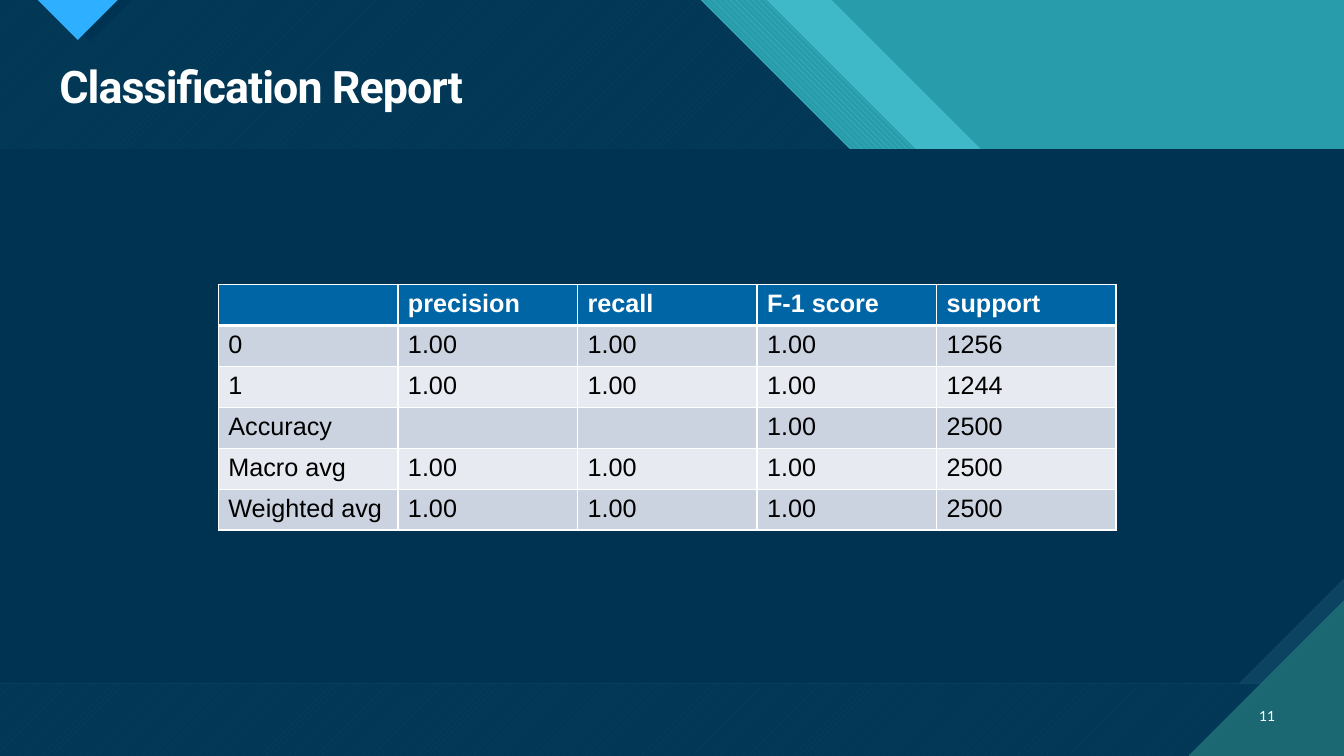
from lxml.etree import SubElement
from pptx import Presentation
from pptx.dml.color import RGBColor
from pptx.enum.dml import MSO_PATTERN as Pattern
from pptx.enum.shapes import MSO_SHAPE as Shape
from pptx.enum.text import MSO_ANCHOR as Anchor, PP_ALIGN as Align
from pptx.oxml.ns import qn
from pptx.util import Pt

PX = 9525
WIDTH, HEIGHT = 1280, 720
NAVY, SLATE, WHITE = "003352", "0C4360", "FFFFFF"
TEAL, AQUA, DEEP_TEAL, SKY = "299CAB", "47C3D3", "1B6872", "2FAFFF"
HEADER_BLUE, ROW_FILLS = "0065A4", ("CCD3E0", "E7EAF0")

REPORT = [
    ("", "precision", "recall", "F-1 score", "support"),
    ("0", "1.00", "1.00", "1.00", "1256"),
    ("1", "1.00", "1.00", "1.00", "1244"),
    ("Accuracy", "", "", "1.00", "2500"),
    ("Macro avg", "1.00", "1.00", "1.00", "2500"),
    ("Weighted avg", "1.00", "1.00", "1.00", "2500"),
]


def color(hex_code):
    """Turn a hex string into a colour."""
    return RGBColor.from_string(hex_code)


def emu(*lengths):
    """Turn px lengths into EMU."""
    return [length * PX for length in lengths]


def paint(shape, fore, back=None, pattern=None, opacity=100):
    """Give a shape a plain or patterned fill, with no line or shadow."""
    shape.shadow.inherit = False
    shape.line.fill.background()
    if pattern is None:
        shape.fill.solid()
    else:
        shape.fill.patterned()
        shape.fill.pattern = pattern
        shape.fill.back_color.rgb = color(back)
    shape.fill.fore_color.rgb = color(fore)
    if opacity < 100:
        tint = next(shape.element.spPr.iter(qn("a:srgbClr")))
        SubElement(tint, qn("a:alpha"), val=str(opacity * 1000))


def outline(slide, points):
    """Draw a closed outline through px points."""
    builder = slide.shapes.build_freeform(*points[0], scale=PX)
    builder.add_line_segments(points[1:], close=True)
    return builder.convert_to_shape()


def add_run(paragraph, words, size, font, hex_code, bold=False):
    """Append a formatted run and return it."""
    run = paragraph.add_run()
    run.text = words
    run.font.size = Pt(size)
    run.font.name = font
    run.font.bold = bold
    run.font.color.rgb = color(hex_code)
    return run


def add_text_box(slide, box):
    """Add a wrapping text box and return its frame."""
    frame = slide.shapes.add_textbox(*emu(*box)).text_frame
    frame.word_wrap = True
    return frame


def draw_bands(slide, box):
    """Layer the diagonal bands across the box."""
    left, top, width, height = box
    right, bottom, drop = left + width, top + height, 285
    bands = [
        (0, 792, 1185, dict(fore=AQUA, opacity=74)),
        (63, 730, 1137, dict(fore=AQUA, back=TEAL, pattern=Pattern.WIDE_DOWNWARD_DIAGONAL)),
        (0, 667, 1073, dict(fore=AQUA, back=DEEP_TEAL, pattern=Pattern.WIDE_UPWARD_DIAGONAL)),
        (0, 667, 1073, dict(fore=NAVY, opacity=90)),
    ]
    for start, edge, shelf, look in bands:
        band = outline(slide, [
            (left + start, top), (left + edge, top),
            (left + edge + drop, top + drop), (left + shelf, top + drop),
            (right, top + drop + width - shelf), (right, bottom), (left + start, bottom),
        ])
        paint(band, **look)


def draw_pointer(slide, box):
    """Hang the blue pointer and its shade from the top of the box."""
    left, top, width, height = box
    for shift, grow, look in (
        (10, 2, dict(fore=NAVY)),
        (0, 0, dict(fore=SKY, back=DEEP_TEAL, pattern=Pattern.DARK_HORIZONTAL)),
    ):
        start, half = left + shift, width // 2 + grow
        paint(outline(slide, [(start, top), (start + half, top + height + grow),
                              (start + 2 * half, top)]), **look)


def draw_panel(slide, box):
    """Draw the body panel with its cut lower right corner."""
    backing = slide.shapes.add_shape(Shape.RECTANGLE, *emu(*box))
    paint(backing, SLATE, DEEP_TEAL, Pattern.DARK_VERTICAL)
    panel = slide.shapes.add_shape(Shape.SNIP_1_RECTANGLE, *emu(*box))
    panel.adjustments[0] = 0.197
    panel.element.spPr.xfrm.set("flipV", "1")
    paint(panel, NAVY)


def draw_corner(slide, box):
    """Fill the lower right half of the box."""
    left, top, width, height = box
    right, bottom = left + width, top + height
    corner = outline(slide, [(left, bottom), (right, bottom), (right, top)])
    paint(corner, DEEP_TEAL, AQUA, Pattern.DARK_HORIZONTAL)


def write_title(slide, box):
    """Write the slide title."""
    heading = add_text_box(slide, box).paragraphs[0]
    heading.line_spacing = 0.9
    run = add_run(heading, "Classification Report", 32, "Roboto", WHITE, bold=True)
    run.font.element.set("spc", "-70") if hasattr(run.font, "element") else \
        run.text and next(heading.runs[0]._r.iter(qn("a:rPr"))).set("spc", "-70")


def write_page_number(slide, box):
    """Write the page number."""
    frame = add_text_box(slide, box)
    frame.vertical_anchor = Anchor.MIDDLE
    frame.paragraphs[0].alignment = Align.RIGHT
    add_run(frame.paragraphs[0], "11", 10, "Lato", WHITE)


def add_borders(cell, top, bottom):
    """Line a cell in white, with the given top and bottom widths."""
    properties = cell._tc.get_or_add_tcPr()
    for side, points in (("L", 1), ("R", 1), ("T", top), ("B", bottom)):
        border = SubElement(properties, qn(f"a:ln{side}"), w=str(Pt(points)))
        fill = SubElement(border, qn("a:solidFill"))
        SubElement(fill, qn("a:srgbClr"), val=WHITE)


def draw_report(slide, box):
    """Fill the box with the classification table."""
    left, top, width, height = box
    rows, columns = len(REPORT), len(REPORT[0])
    table = slide.shapes.add_table(rows, columns, *emu(*box)).table
    for column in table.columns:
        column.width = width // columns * PX
    for r, entries in enumerate(REPORT):
        table.rows[r].height = height // rows * PX
        header = r == 0
        for c, entry in enumerate(entries):
            cell = table.cell(r, c)
            add_borders(cell, top=3 if r == 1 else 1, bottom=3 if header else 1)
            cell.fill.solid()
            cell.fill.fore_color.rgb = color(HEADER_BLUE if header else ROW_FILLS[(r - 1) % 2])
            if entry:
                add_run(cell.text_frame.paragraphs[0], entry, 18, "Arial",
                        WHITE if header else "000000", bold=header)


def main():
    """Build and save the slide."""
    deck = Presentation()
    deck.slide_width, deck.slide_height = emu(WIDTH, HEIGHT)
    slide = deck.slides.add_slide(deck.slide_layouts[6])
    slide.background.fill.solid()
    slide.background.fill.fore_color.rgb = color(TEAL)
    draw_bands(slide, (0, 0, WIDTH, HEIGHT))
    draw_pointer(slide, (36, 0, 76, 38))
    draw_panel(slide, (0, 142, WIDTH, 509))
    draw_corner(slide, (1132, 572, 148, 148))
    write_title(slide, (47, 57, 1177, 57))
    write_page_number(slide, (1182, 663, 42, 38))
    draw_report(slide, (208, 271, 855, 234))
    deck.save("out.pptx")


if __name__ == "__main__":
    main()
